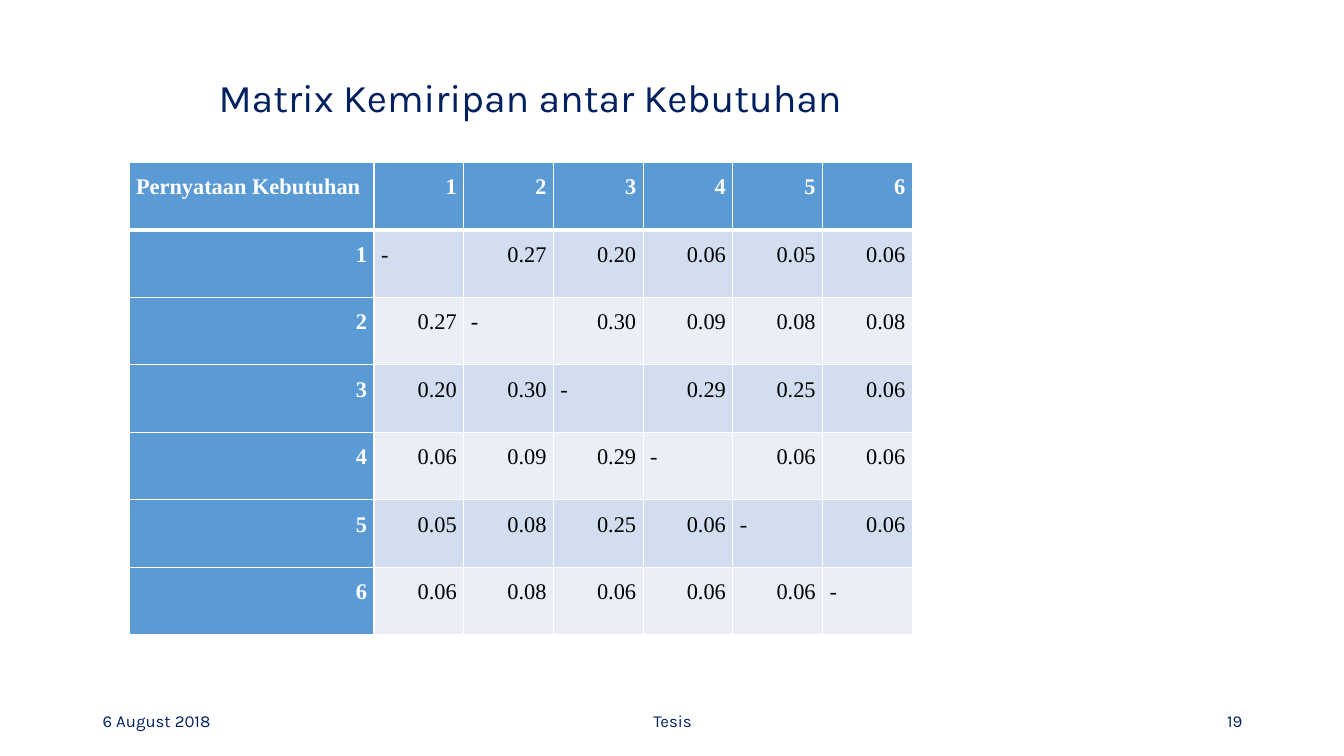
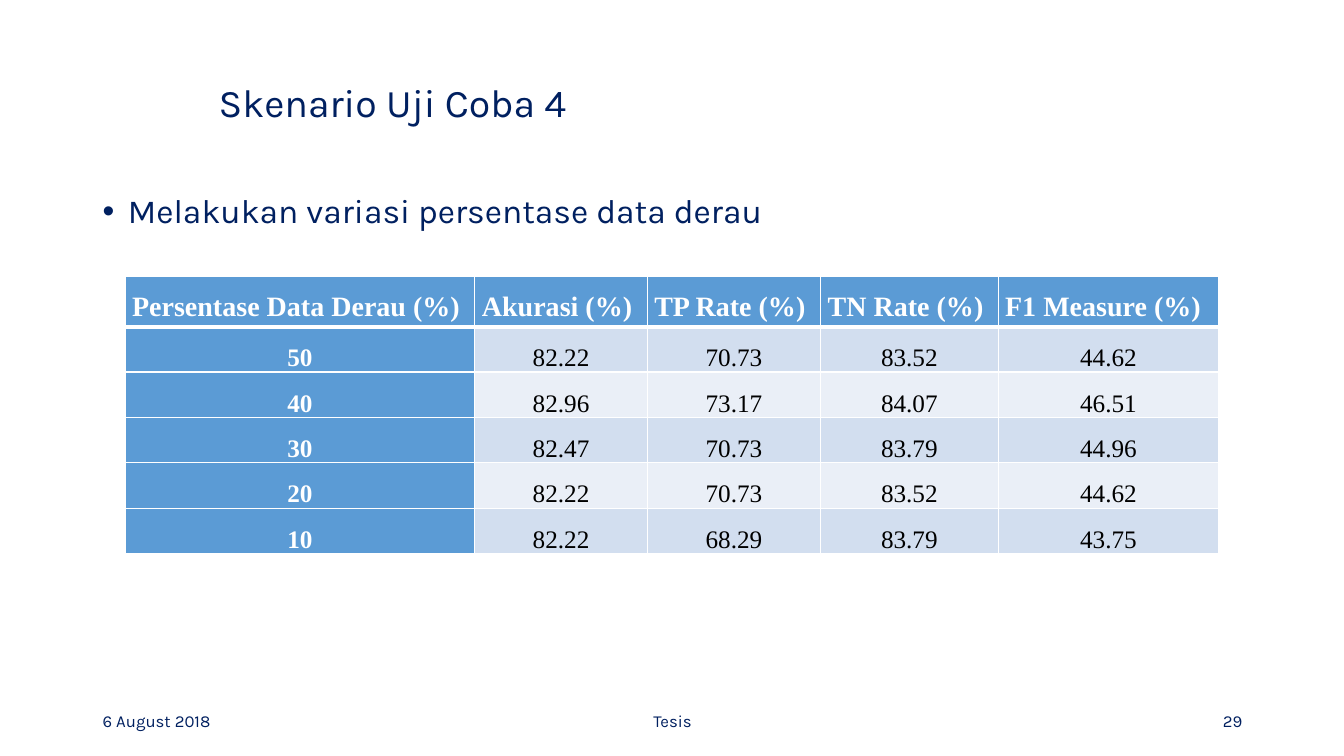
"""Build two thesis slides with result tables and a shared title and footer style."""
from lxml import etree
from pptx import Presentation
from pptx.dml.color import RGBColor
from pptx.enum.text import MSO_ANCHOR, PP_ALIGN
from pptx.oxml.ns import qn
from pptx.util import Inches, Pt

LEFT, CENTER, RIGHT, JUSTIFY = PP_ALIGN.LEFT, PP_ALIGN.CENTER, PP_ALIGN.RIGHT, PP_ALIGN.JUSTIFY
TOP, MIDDLE, BOTTOM = MSO_ANCHOR.TOP, MSO_ANCHOR.MIDDLE, MSO_ANCHOR.BOTTOM

NAVY = RGBColor(0x00, 0x20, 0x60)
WHITE = RGBColor(0xFF, 0xFF, 0xFF)
BLACK = RGBColor(0x00, 0x00, 0x00)
HEADER_BLUE = RGBColor(0x5B, 0x9B, 0xD5)
BANDS = (RGBColor(0xEA, 0xEF, 0xF7), RGBColor(0xD2, 0xDE, 0xEF))
SLIDE_FONT = "Karla"
TABLE_FONT = "Times New Roman"

MATRIX = [
    ["Pernyataan Kebutuhan", "1", "2", "3", "4", "5", "6"],
    ["1", "-", "0.27", "0.20", "0.06", "0.05", "0.06"],
    ["2", "0.27", "-", "0.30", "0.09", "0.08", "0.08"],
    ["3", "0.20", "0.30", "-", "0.29", "0.25", "0.06"],
    ["4", "0.06", "0.09", "0.29", "-", "0.06", "0.06"],
    ["5", "0.05", "0.08", "0.25", "0.06", "-", "0.06"],
    ["6", "0.06", "0.08", "0.06", "0.06", "0.06", "-"],
]
SCENARIO = [
    ["Persentase Data Derau (%)", "Akurasi (%)", "TP Rate (%)", "TN Rate (%)", "F1 Measure (%)"],
    ["50", "82.22", "70.73", "83.52", "44.62"],
    ["40", "82.96", "73.17", "84.07", "46.51"],
    ["30", "82.47", "70.73", "83.79", "44.96"],
    ["20", "82.22", "70.73", "83.52", "44.62"],
    ["10", "82.22", "68.29", "83.79", "43.75"],
]
SLIDES = [
    {"title": "Matrix Kemiripan antar Kebutuhan", "title_top": 0.53, "number": "19", "bullet": None,
     "rows": MATRIX, "at": (1.28, 1.61), "columns": [2.43] + [0.89] * 6, "row_height": 0.67,
     "sizes": (16, 16), "aligns": (RIGHT, RIGHT), "anchor": TOP},
    {"title": "Skenario Uji Coba 4", "title_top": 0.57, "number": "29",
     "bullet": "Melakukan variasi persentase data derau",
     "rows": SCENARIO, "at": (1.24, 2.74), "columns": [3.47, 1.71, 1.72, 1.76, 2.19],
     "row_height": 0.4, "sizes": (20, 18), "aligns": (JUSTIFY, CENTER), "anchor": BOTTOM},
]


def write_text(frame, text, size, color=NAVY, font=SLIDE_FONT, bold=False, align=LEFT,
               anchor=MIDDLE, spacing=1.0, bullet=False):
    frame.word_wrap = True
    frame.vertical_anchor = anchor
    paragraph = frame.paragraphs[0]
    paragraph.text = text
    paragraph.alignment = align
    paragraph.line_spacing = spacing
    if bullet:
        properties = paragraph._p.get_or_add_pPr()
        properties.set("marL", str(Inches(0.25)))
        properties.set("indent", str(-Inches(0.25)))
        etree.SubElement(properties, qn("a:buFont"), typeface="Arial")
        etree.SubElement(properties, qn("a:buChar"), char="•")
    run_font = paragraph.runs[0].font
    run_font.name = font
    run_font.size = Pt(size)
    run_font.bold = bold
    run_font.color.rgb = color


def add_border(cell, side, width):
    line = etree.SubElement(cell._tc.get_or_add_tcPr(), qn("a:" + side), w=str(Pt(width)))
    fill = etree.SubElement(line, qn("a:solidFill"))
    etree.SubElement(fill, qn("a:srgbClr"), val=str(WHITE))


presentation = Presentation()
presentation.slide_width = Inches(13.33)
presentation.slide_height = Inches(7.5)

for content in SLIDES:
    slide = presentation.slides.add_slide(presentation.slide_layouts[6])
    shapes = slide.shapes
    slide.background.fill.solid()
    slide.background.fill.fore_color.rgb = WHITE

    title = shapes.add_textbox(Inches(2.07), Inches(content["title_top"]), Inches(11.26), Inches(0.93))
    write_text(title.text_frame, content["title"], 28, spacing=0.9)

    if content["bullet"]:
        body = shapes.add_textbox(Inches(0.92), Inches(1.88), Inches(11.5), Inches(0.6))
        write_text(body.text_frame, content["bullet"], 24, anchor=TOP, spacing=0.9, bullet=True)

    for text, left, width, align in (("6 August 2018", 0.92, 3, LEFT), ("Tesis", 4.42, 4.5, CENTER),
                                     (content["number"], 9.42, 3, RIGHT)):
        footer = shapes.add_textbox(Inches(left), Inches(6.95), Inches(width), Inches(0.4))
        write_text(footer.text_frame, text, 12, align=align)

    rows, columns = content["rows"], content["columns"]
    left, top = content["at"]
    table = shapes.add_table(len(rows), len(columns), Inches(left), Inches(top), Inches(sum(columns)),
                             Inches(content["row_height"] * len(rows))).table
    table.first_col = True
    for column, width in zip(table.columns, columns):
        column.width = Inches(width)

    for row_index, values in enumerate(rows):
        table.rows[row_index].height = Inches(content["row_height"])
        in_header = row_index == 0
        for column_index, value in enumerate(values):
            cell = table.cell(row_index, column_index)
            cell.margin_left = cell.margin_right = Inches(0.07)
            cell.margin_top = cell.margin_bottom = 0
            emphasized = in_header or column_index == 0
            align = content["aligns"][0 if in_header else 1]
            if value in ("-", "Pernyataan Kebutuhan"):
                align = LEFT
            write_text(cell.text_frame, value, content["sizes"][0 if in_header else 1],
                       color=WHITE if emphasized else BLACK, font=TABLE_FONT, bold=emphasized,
                       align=align, spacing=1.5)
            cell.vertical_anchor = TOP if in_header else content["anchor"]
            for side, width in (("lnL", 1), ("lnR", 1), ("lnT", 3 if row_index == 1 else 1),
                                ("lnB", 3 if in_header else 1)):
                add_border(cell, side, width)
            cell.fill.solid()
            cell.fill.fore_color.rgb = HEADER_BLUE if emphasized else BANDS[row_index % 2]

presentation.save("out.pptx")
